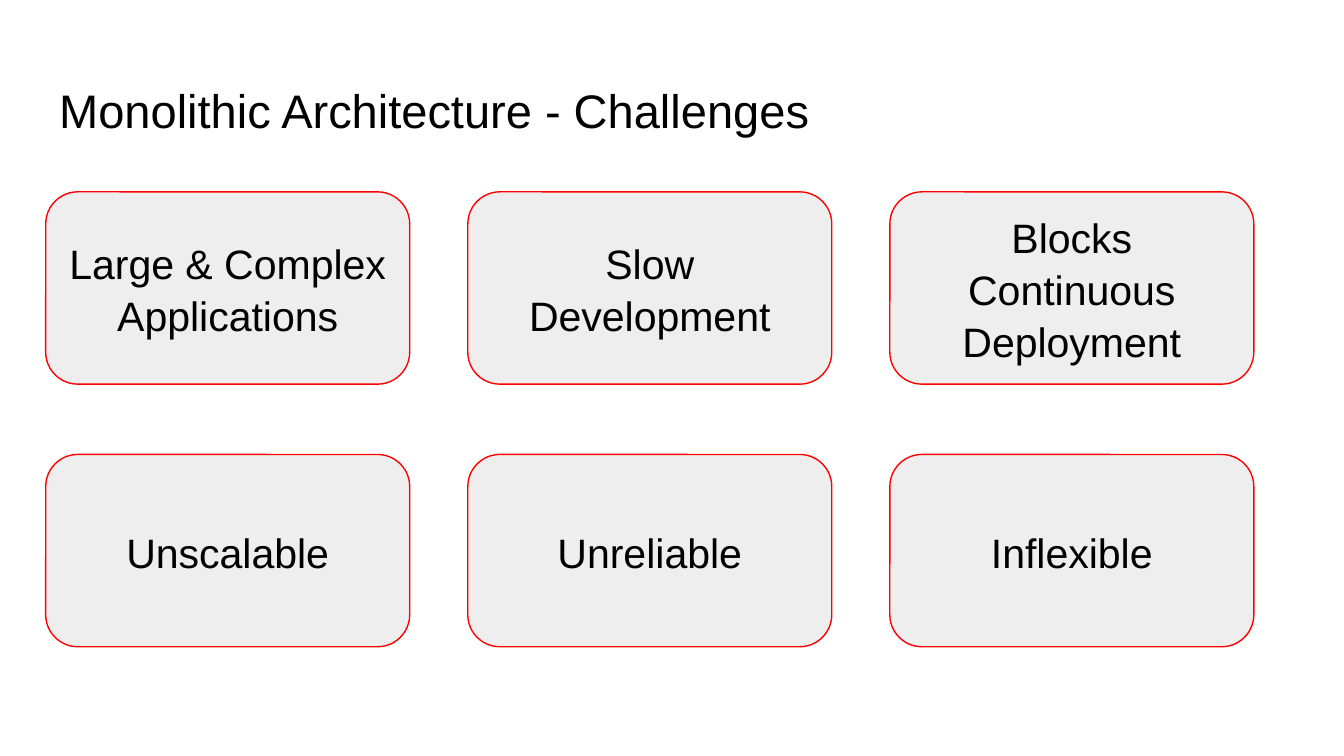
import pptx
import pptx.util
import pptx.dml.color
import pptx.enum.shapes
import pptx.enum.text
from dataclasses import dataclass

Pt = pptx.util.Pt
RGB = pptx.dml.color.RGBColor.from_string
Align = pptx.enum.text.PP_ALIGN
Anchor = pptx.enum.text.MSO_ANCHOR


@dataclass
class Theme:
    font: str = "Arial"
    ink: str = "000000"
    fill: str = "EEEEEE"
    edge: str = "FF0000"
    head: float = 25.2
    body: float = 22
    inset: float = 7.2
    lead: float = 1.05


class Deck:
    def __init__(self, theme, wide, high):
        self.theme = theme
        self.show = pptx.Presentation()
        self.show.slide_width, self.show.slide_height = Pt(wide), Pt(high)
        self.slide = self.show.slides.add_slide(self.show.slide_layouts[5])

    def label(self, shape, text, size, align, anchor):
        frame = shape.text_frame
        frame.word_wrap = True
        frame.auto_size = pptx.enum.text.MSO_AUTO_SIZE.NONE
        frame.vertical_anchor = anchor
        inset = Pt(self.theme.inset)
        frame.margin_left = frame.margin_right = inset
        frame.margin_top = frame.margin_bottom = inset
        para = frame.paragraphs[0]
        para.alignment = align
        para.line_spacing = self.theme.lead
        para.space_before = Pt(0)
        run = para.add_run()
        run.text = text
        run.font.name = self.theme.font
        run.font.size = Pt(size)
        run.font.color.rgb = RGB(self.theme.ink)

    def title(self, text, left, top, wide, high):
        shape = self.slide.shapes.title
        shape.left, shape.top = Pt(left), Pt(top)
        shape.width, shape.height = Pt(wide), Pt(high)
        self.label(shape, text, self.theme.head, Align.LEFT, Anchor.TOP)

    def card(self, text, left, top, wide, high):
        shape = self.slide.shapes.add_shape(
            pptx.enum.shapes.MSO_SHAPE.ROUNDED_RECTANGLE,
            Pt(left), Pt(top), Pt(wide), Pt(high))
        shape.shadow.inherit = False
        shape.fill.solid()
        shape.fill.fore_color.rgb = RGB(self.theme.fill)
        shape.line.color.rgb = RGB(self.theme.edge)
        shape.line.width = Pt(0.75)
        self.label(shape, text, self.theme.body, Align.CENTER, Anchor.MIDDLE)


def main():
    deck = Deck(Theme(), 720, 405)
    left = 24.5

    # Title
    deck.title("Monolithic Architecture - Challenges", left, 35.2, 671, 45.4)

    # Grid of challenges
    rows = [
        ["Large & Complex Applications", "Slow Development",
         "Blocks Continuous Deployment"],
        ["Unscalable", "Unreliable", "Inflexible"],
    ]
    for r, row in enumerate(rows):
        for c, text in enumerate(row):
            deck.card(text, left + c * 226.1, 102.8 + r * 140.7, 195, 103)

    deck.show.save("out.pptx")


if __name__ == "__main__":
    main()
